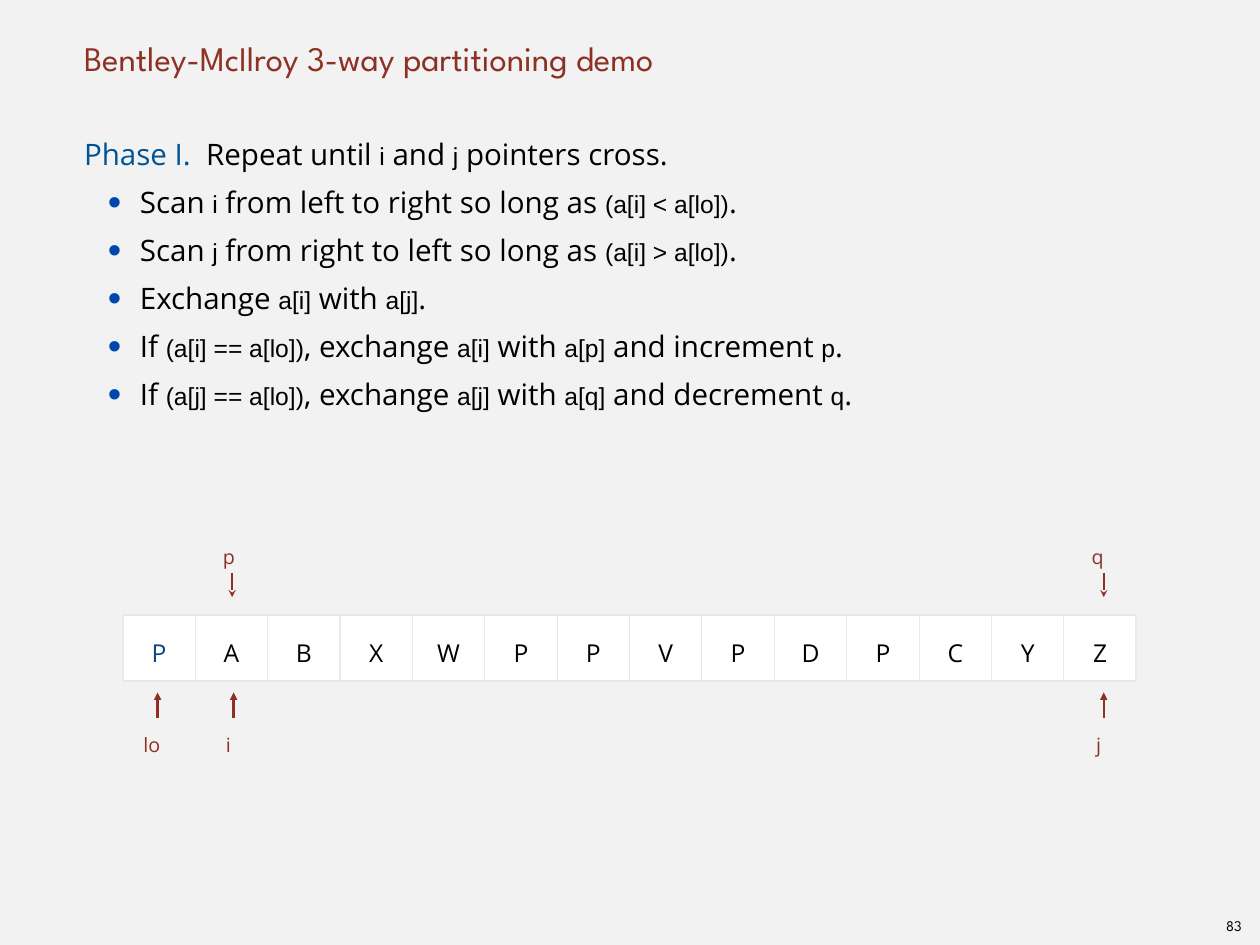
from dataclasses import dataclass

from lxml.etree import SubElement
from pptx import Presentation
from pptx.dml.color import RGBColor
from pptx.enum.shapes import MSO_CONNECTOR
from pptx.enum.text import MSO_ANCHOR, MSO_AUTO_SIZE, PP_ALIGN
from pptx.oxml.ns import qn
from pptx.util import Inches, Length, Pt


@dataclass(frozen=True)
class Theme:
    background: str = "F2F2F2"
    accent: str = "8D3124"
    lead: str = "005493"
    pivot: str = "0C4681"
    bullet: str = "0048B0"
    ink: str = "000000"
    cell: str = "FFFFFF"
    border: str = "E7EAEB"
    heading_font: str = "League Spartan"
    body_font: str = "Open Sans"
    code_font: str = "Arial"
    title_size: int = 28
    body_size: int = 24
    code_size: int = 20
    pointer_size: int = 16
    page_size: int = 12


@dataclass(frozen=True)
class Pointer:
    """Columns count array cells from the left edge of the array."""
    name: str
    arrow_column: float
    label_column: float
    above: bool = False


THEME = Theme()
WIDTH, HEIGHT = Inches(14.22), Inches(10.67)
COLUMN, ROW = WIDTH / 16, HEIGHT / 12
INSET = Inches(0.06)

ARRAY = "PABXWPPVPDPCYZ"
ARRAY_LEFT, ARRAY_TOP = 1.56 * COLUMN, 7.81 * ROW
CELL_WIDTH, CELL_HEIGHT = 12.87 * COLUMN / len(ARRAY), 0.84 * ROW

POINTERS = [
    Pointer("lo", 0.48, 0.21),
    Pointer("i", 1.53, 1.35),
    Pointer("j", 13.55, 13.37),
    Pointer("p", 1.51, 1.31, above=True),
    Pointer("q", 13.55, 13.31, above=True),
]

LEAD = "Phase I.  "
INTRO = "Repeat until `i` and `j` pointers cross."
STEPS = [
    "Scan `i` from left to right so long as `(a[i] < a[lo])`.",
    "Scan `j` from right to left so long as `(a[i] > a[lo])`.",
    "Exchange `a[i]` with `a[j]`.",
    "If `(a[i] == a[lo])`, exchange `a[i]` with `a[p]` and increment `p`.",
    "If `(a[j] == a[lo])`, exchange `a[j]` with `a[q]` and decrement `q`.",
]


def style_run(run, size: int, font: str, color: str) -> None:
    run.font.size = Pt(size)
    run.font.name = font
    run.font.color.rgb = RGBColor.from_string(color)


def indent(paragraph, left: float, first: float = 0) -> None:
    properties = paragraph._p.get_or_add_pPr()
    properties.set("marL", str(Inches(left)))
    properties.set("indent", str(Inches(first)))


def set_margins(frame, margin: Length) -> None:
    frame.margin_left = frame.margin_right = margin
    frame.margin_top = frame.margin_bottom = margin


def add_text_box(slide, left: float, top: float, width: float, height: float):
    box = slide.shapes.add_textbox(*map(int, (left, top, width, height)))
    set_margins(box.text_frame, 0)
    return box.text_frame


def add_marked_text(paragraph, marked: str) -> None:
    """Add runs, with the parts between backticks in the code style."""
    for position, part in enumerate(marked.split("`")):
        run = paragraph.add_run()
        run.text = part
        if position % 2:
            style_run(run, THEME.code_size, THEME.code_font, THEME.ink)
        else:
            style_run(run, THEME.body_size, THEME.body_font, THEME.ink)


def add_bullet(paragraph) -> None:
    properties = paragraph._p.get_or_add_pPr()
    color = SubElement(properties, qn("a:buClr"))
    SubElement(color, qn("a:srgbClr"), val=THEME.bullet)
    SubElement(properties, qn("a:buSzPct"), val="130000")
    SubElement(properties, qn("a:buFont"), typeface=THEME.code_font)
    SubElement(properties, qn("a:buChar"), char="•")


def add_title(slide) -> None:
    title = slide.shapes.title
    title.left, title.top = int(COLUMN), 0
    title.width, title.height = int(14 * COLUMN), int(ROW)
    frame = title.text_frame
    frame.text = "Bentley-McIlroy 3-way partitioning demo"
    frame.auto_size = MSO_AUTO_SIZE.NONE
    frame.vertical_anchor = MSO_ANCHOR.BOTTOM
    set_margins(frame, 0)
    paragraph = frame.paragraphs[0]
    paragraph.alignment = PP_ALIGN.LEFT
    paragraph.line_spacing = Pt(59)
    indent(paragraph, 0.06)
    style_run(paragraph.runs[0], THEME.title_size, THEME.heading_font, THEME.accent)


def add_phase(slide) -> None:
    frame = add_text_box(slide, COLUMN, 1.57 * ROW, 14 * COLUMN, 10 * ROW)
    frame.word_wrap = True
    frame.text = LEAD
    intro = frame.paragraphs[0]
    style_run(intro.runs[0], THEME.body_size, THEME.body_font, THEME.lead)
    indent(intro, 0.06)
    add_marked_text(intro, INTRO)
    for step in STEPS:
        paragraph = frame.add_paragraph()
        paragraph.level = 1
        indent(paragraph, 0.69, -0.36)
        add_bullet(paragraph)
        add_marked_text(paragraph, step)
    for paragraph in frame.paragraphs:
        paragraph.line_spacing = Pt(39)


def set_borders(cell, outer_sides: str) -> None:
    properties = cell._tc.get_or_add_tcPr()
    for order, side in enumerate("LRTB"):
        width = Pt(2 if side in outer_sides else 1)
        line = SubElement(properties, qn(f"a:ln{side}"), w=str(width))
        fill = SubElement(line, qn("a:solidFill"))
        SubElement(fill, qn("a:srgbClr"), val=THEME.border)
        properties.insert(order, line)


def add_array(slide) -> None:
    bounds = (ARRAY_LEFT, ARRAY_TOP, CELL_WIDTH * len(ARRAY), CELL_HEIGHT)
    table = slide.shapes.add_table(1, len(ARRAY), *map(int, bounds)).table
    table.first_row = table.horz_banding = False
    for index, key in enumerate(ARRAY):
        table.columns[index].width = int(CELL_WIDTH)
        cell = table.cell(0, index)
        cell.text = key
        cell.vertical_anchor = MSO_ANCHOR.MIDDLE
        set_margins(cell, INSET)
        cell.fill.solid()
        cell.fill.fore_color.rgb = RGBColor.from_string(THEME.cell)
        ends = {0: "L", len(ARRAY) - 1: "R"}
        set_borders(cell, "TB" + ends.get(index, ""))
        paragraph = cell.text_frame.paragraphs[0]
        paragraph.alignment = PP_ALIGN.CENTER
        paragraph.line_spacing = 1.3
        color = THEME.ink if index else THEME.pivot
        style_run(paragraph.runs[0], THEME.code_size, THEME.body_font, color)


def add_arrow(slide, x: float, tail: float, tip: float, head: str) -> None:
    arrow = slide.shapes.add_connector(
        MSO_CONNECTOR.STRAIGHT, *map(int, (x, tail, x, tip)))
    arrow.line.color.rgb = RGBColor.from_string(THEME.accent)
    arrow.line.width = Pt(2)
    properties = arrow._element.spPr
    SubElement(properties.find(qn("a:ln")), qn("a:tailEnd"), type=head)
    SubElement(properties, qn("a:effectLst"))


def add_pointer(slide, pointer: Pointer) -> None:
    rows = (-1.24, -0.64, -0.27) if pointer.above else (1.61, 1.55, 1.17)
    label_top, tail, tip = (ARRAY_TOP + row * CELL_HEIGHT for row in rows)
    left = ARRAY_LEFT + pointer.label_column * CELL_WIDTH
    frame = add_text_box(slide, left, label_top, 0.4 * CELL_WIDTH, 0.4 * ROW)
    frame.word_wrap = False
    frame.text = pointer.name
    paragraph = frame.paragraphs[0]
    paragraph.line_spacing = 1.5
    indent(paragraph, 0.06)
    style_run(paragraph.runs[0], THEME.pointer_size, THEME.body_font, THEME.accent)
    x = ARRAY_LEFT + pointer.arrow_column * CELL_WIDTH
    add_arrow(slide, x, tail, tip, "stealth" if pointer.above else "triangle")


def add_page_number(slide) -> None:
    frame = add_text_box(slide, 15.48 * COLUMN, 11.58 * ROW, 0.38 * COLUMN, 0.36 * ROW)
    frame.word_wrap = False
    frame.vertical_anchor = MSO_ANCHOR.MIDDLE
    set_margins(frame, INSET)
    frame.text = "83"
    paragraph = frame.paragraphs[0]
    paragraph.alignment = PP_ALIGN.CENTER
    style_run(paragraph.runs[0], THEME.page_size, THEME.heading_font, THEME.ink)


def main() -> None:
    deck = Presentation()
    deck.slide_width, deck.slide_height = WIDTH, HEIGHT
    slide = deck.slides.add_slide(deck.slide_layouts.get_by_name("Title Only"))
    slide.background.fill.solid()
    slide.background.fill.fore_color.rgb = RGBColor.from_string(THEME.background)
    add_title(slide)
    add_phase(slide)
    add_array(slide)
    for pointer in POINTERS:
        add_pointer(slide, pointer)
    add_page_number(slide)
    deck.save("out.pptx")


if __name__ == "__main__":
    main()
